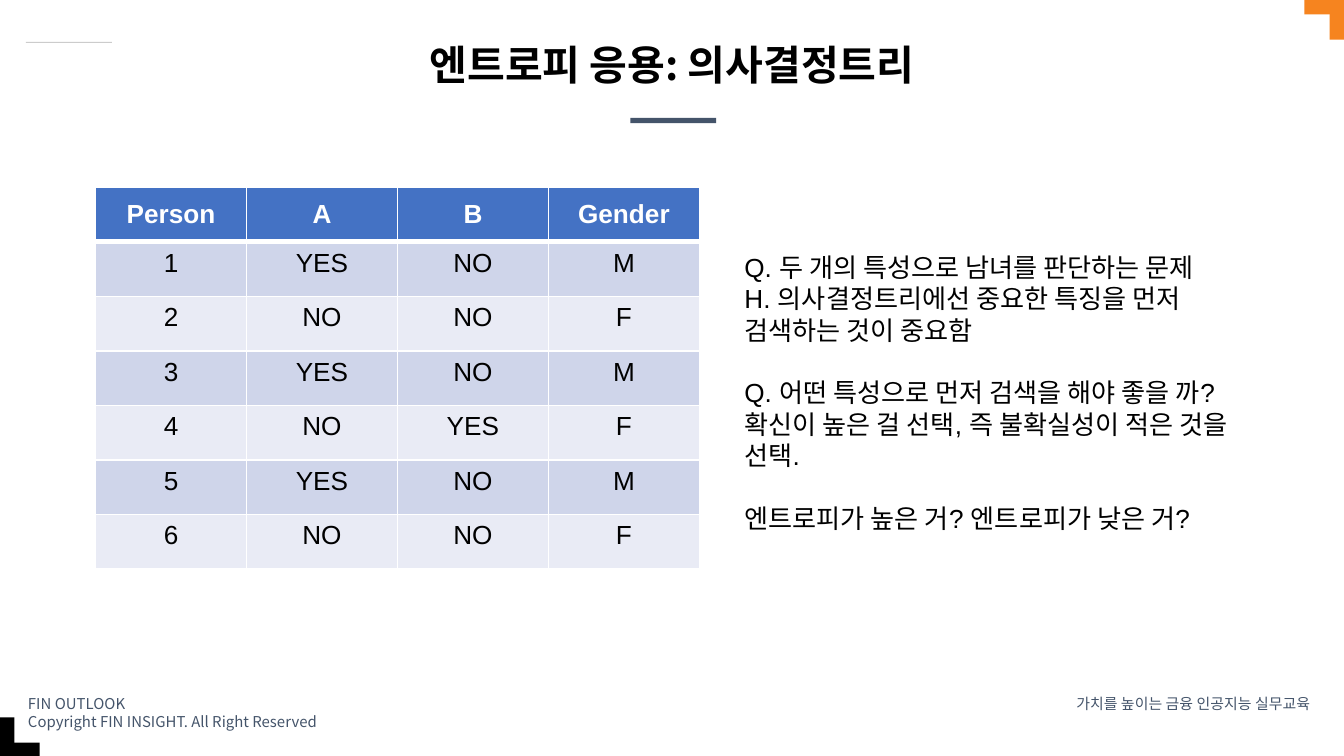
import pptx
import pptx.util
import pptx.dml.color
import pptx.enum.shapes
import pptx.enum.text
import pptx.oxml
import pptx.oxml.ns

Pt = pptx.util.Pt
ALIGN = pptx.enum.text.PP_ALIGN
ANCHOR = pptx.enum.text.MSO_ANCHOR
KOREAN = "Noto Sans CJK KR"


def color(value):
    return pptx.dml.color.RGBColor.from_string(value)


def format_text(tf, size, name, fill, align=ALIGN.LEFT, bold=False):
    for p in tf.paragraphs:
        p.alignment = align
        for r in p.runs:
            r.font.size = Pt(size)
            r.font.bold = bold
            r.font.color.rgb = color(fill)
            r.font.name = name
            ea = pptx.oxml.parse_xml(
                f'<a:ea {pptx.oxml.ns.nsdecls("a")} typeface="{KOREAN}"/>')
            r.font._element.append(ea)


prs = pptx.Presentation()
prs.slide_width, prs.slide_height = Pt(720), Pt(405)
s = prs.slides.add_slide(prs.slide_layouts[5])

# Title rule, top-left line, and the two corner marks
bars = [
    (337.7, 63.2, 46, 2.8, 0, "44546A"),
    (13.9, 22.4, 46, 0.6, 0, "CCCCCC"),
    (0, 397.8, 21.2, 7.7, 180, "000000"),
    (-6.75, 391.05, 21.2, 7.7, 90, "000000"),
    (698.8, 0, 21.2, 7.7, 0, "F6841F"),
    (705.55, 6.75, 21.2, 7.7, 270, "F6841F"),
]
for left, top, width, height, angle, fill in bars:
    sp = s.shapes.add_shape(pptx.enum.shapes.MSO_SHAPE.RECTANGLE,
                            Pt(left), Pt(top), Pt(width), Pt(height))
    sp.rotation = angle
    sp.shadow.inherit = False
    sp.fill.solid()
    sp.fill.fore_color.rgb = color(fill)
    sp.line.fill.background()

# Title
sp = s.shapes.title
sp.left, sp.top, sp.width, sp.height = Pt(78.5), Pt(21.6), Pt(563), Pt(28.8)
tf = sp.text_frame
tf.text = "엔트로피 응용: 의사결정트리"
tf.margin_left = tf.margin_right = Pt(2.9)
tf.margin_top = tf.margin_bottom = Pt(1.4)
tf.vertical_anchor = ANCHOR.MIDDLE
tf.paragraphs[0].line_spacing = 0.9
format_text(tf, 22, KOREAN, "000000", ALIGN.CENTER, True)

# Table of persons, features and gender
rows = [
    ("Person", "A", "B", "Gender"),
    ("1", "YES", "NO", "M"),
    ("2", "NO", "NO", "F"),
    ("3", "YES", "NO", "M"),
    ("4", "NO", "YES", "F"),
    ("5", "YES", "NO", "M"),
    ("6", "NO", "NO", "F"),
]
table = s.shapes.add_table(len(rows), 4, Pt(51.2), Pt(100.4),
                           Pt(323.6), Pt(204.4)).table
for column in table.columns:
    column.width = Pt(80.9)
for i, values in enumerate(rows):
    table.rows[i].height = Pt(29.2)
    header = i == 0
    for j, value in enumerate(values):
        cell = table.cell(i, j)
        cell.text = value
        cell.vertical_anchor = ANCHOR.MIDDLE if header else ANCHOR.TOP
        format_text(cell.text_frame, 14, "Arial",
                    "FFFFFF" if header else "000000", ALIGN.CENTER, header)
        for side in "LRTB":
            thick = (header and side == "B") or (i == 1 and side == "T")
            cell._tc.get_or_add_tcPr().append(pptx.oxml.parse_xml(
                f'<a:ln{side} {pptx.oxml.ns.nsdecls("a")} w="{Pt(3 if thick else 1)}">'
                '<a:solidFill><a:srgbClr val="FFFFFF"/></a:solidFill>'
                f'</a:ln{side}>'))
        cell.fill.solid()
        cell.fill.fore_color.rgb = color(
            "4472C4" if header else "CFD5EA" if i % 2 else "E9EBF5")

# Questions and footers
questions = "\n".join([
    "Q. 두 개의 특성으로 남녀를 판단하는 문제",
    "H. 의사결정트리에선 중요한 특징을 먼저 검색하는 것이 중요함",
    "Q. 어떤 특성으로 먼저 검색을 해야 좋을 까? 확신이 높은 걸 선택, 즉 불확실성이 적은 것을 선택.",
    "엔트로피가 높은 거? 엔트로피가 낮은 거?",
])
copyright_note = "FIN OUTLOOK\nCopyright FIN INSIGHT. All Right Reserved"
slogan = "가치를 높이는 금융 인공지능 실무교육"
texts = [
    (questions, 391.7, 131, 277.2, 159.8, 14, "Arial", "000000", ALIGN.LEFT),
    (copyright_note, 7.9, 368.6, 214.6, 19.4, 8, KOREAN, "44546A", ALIGN.LEFT),
    (slogan, 558.7, 368.6, 150.5, 12.2, 8, KOREAN, "44546A", ALIGN.RIGHT),
]
for text, left, top, width, height, size, name, fill, align in texts:
    tf = s.shapes.add_textbox(Pt(left), Pt(top), Pt(width), Pt(height)).text_frame
    tf.word_wrap = True
    tf.text = text
    format_text(tf, size, name, fill, align)
    for p in tf.paragraphs[2:]:
        p.space_before = Pt(16.8)

prs.save("out.pptx")
